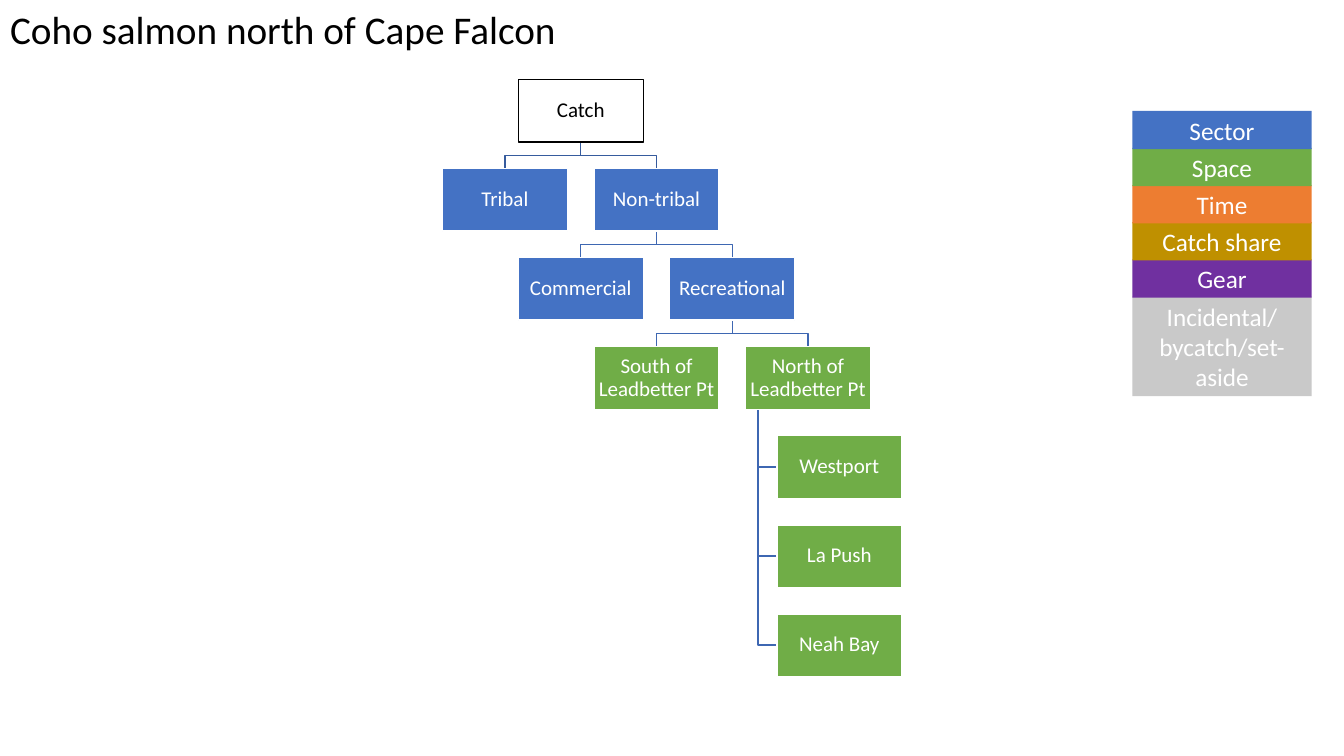
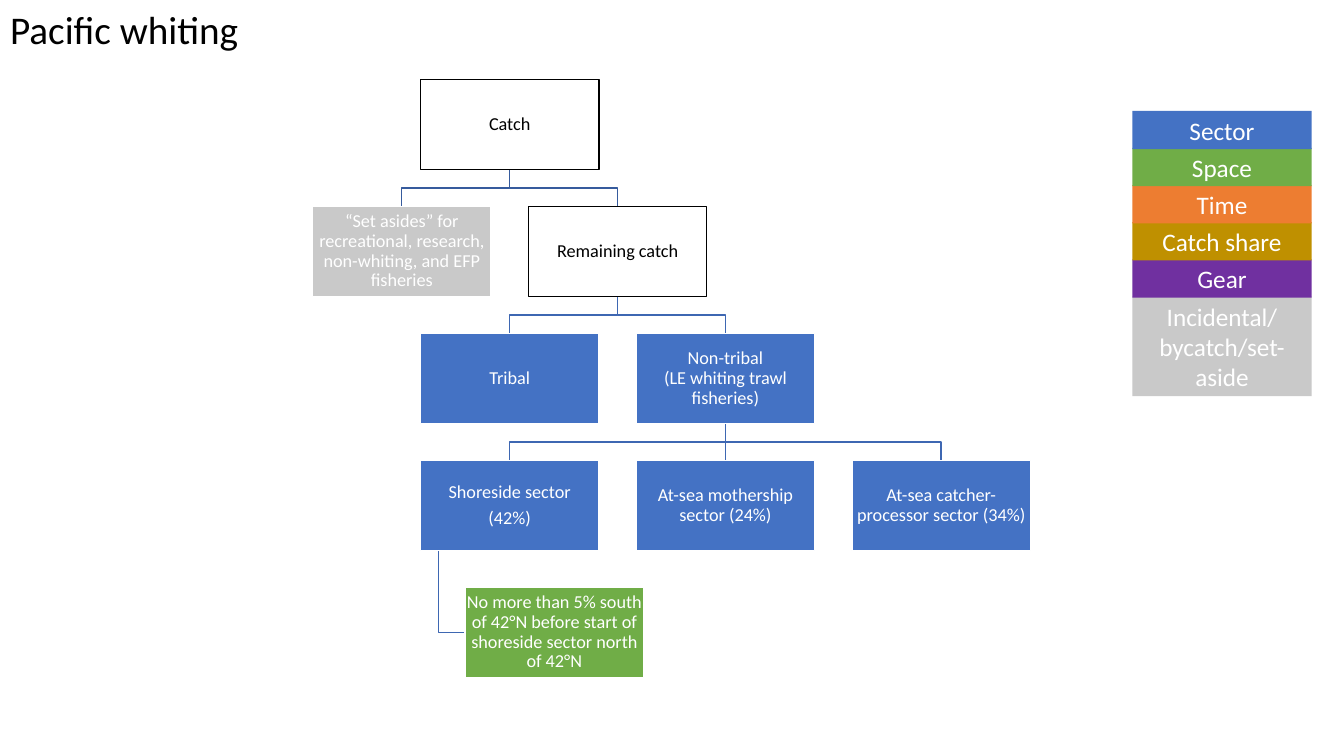
from collections import namedtuple

from pptx import Presentation
from pptx.dml.color import RGBColor
from pptx.enum.shapes import MSO_CONNECTOR as CONN, MSO_SHAPE as SHAPE
from pptx.enum.text import MSO_ANCHOR as ANCHOR, PP_ALIGN as ALIGN
from pptx.oxml import parse_xml
from pptx.oxml.ns import nsdecls
from pptx.util import Inches, Pt

# Shared style
FONT = "Calibri"
WHITE = RGBColor(0xFF, 0xFF, 0xFF)
BLACK = RGBColor(0x00, 0x00, 0x00)
BLUE = RGBColor(0x44, 0x72, 0xC4)
GREEN = RGBColor(0x70, 0xAD, 0x47)
ORANGE = RGBColor(0xED, 0x7D, 0x31)
GOLD = RGBColor(0xBF, 0x90, 0x00)
PURPLE = RGBColor(0x70, 0x30, 0xA0)
GRAY = RGBColor(0xC9, 0xC9, 0xC9)
ROOT_LINE = RGBColor(0x36, 0x5B, 0x9D)
BRANCH_LINE = RGBColor(0x3E, 0x67, 0xB2)

# Content: "\n" starts a paragraph, "\v" breaks a line
Node = namedtuple("Node", "text fill children hanging", defaults=((), False))

LEGEND = [
    ("Sector", BLUE),
    ("Space", GREEN),
    ("Time", ORANGE),
    ("Catch share", GOLD),
    ("Gear", PURPLE),
    ("Incidental/\nbycatch/set-aside", GRAY),
]

COHO = Node("Catch", WHITE, [
    Node("Tribal", BLUE),
    Node("Non-tribal", BLUE, [
        Node("Commercial", BLUE),
        Node("Recreational", BLUE, [
            Node("South of Leadbetter Pt", GREEN),
            Node("North of Leadbetter Pt", GREEN, [
                Node("Westport", GREEN),
                Node("La Push", GREEN),
                Node("Neah Bay", GREEN),
            ], hanging=True),
        ]),
    ]),
])

WHITING = Node("Catch", WHITE, [
    Node("“Set asides” for recreational, research, non-whiting, and EFP fisheries", GRAY),
    Node("Remaining catch", WHITE, [
        Node("Tribal", BLUE),
        Node("Non-tribal\v(LE whiting trawl fisheries)", BLUE, [
            Node("Shoreside sector\n(42%)", BLUE, [
                Node("No more than 5% south of 42°N before start of "
                     "shoreside sector north of 42°N", GREEN),
            ], hanging=True),
            Node("At-sea mothership sector (24%)", BLUE),
            Node("At-sea catcher-processor sector (34%)", BLUE),
        ]),
    ]),
])

# Chart sizes in inches, text size in points
TOP, LAST_TOP = 0.79, 6.09
SLIDES = [
    dict(title="Coho salmon north of Cape Falcon", title_w=5.67, tree=COHO,
         left=5.14, w=1.24, h=0.62, last_top=6.09, rows=7, size=15),
    dict(title="Pacific whiting", title_w=2.49, tree=WHITING,
         left=4.17, w=1.77, h=0.89, last_top=5.83, rows=5, size=13),
]


def write(tf, text, size, color, align=ALIGN.CENTER, spacing=None, gap=0):
    for i, para in enumerate(text.split("\n")):
        p = tf.paragraphs[0] if i == 0 else tf.add_paragraph()
        p.alignment = align
        p.line_spacing = spacing
        p.space_before = Pt(gap if i else 0)
        for j, line in enumerate(para.split("\v")):
            if j:
                p.add_line_break()
            r = p.add_run()
            r.text = line
            r.font.name, r.font.size = FONT, Pt(size)
            r.font.color.rgb = color


def add_box(s, x, y, w, h, fill, line=None):
    sp = s.shapes.add_shape(SHAPE.RECTANGLE, Inches(x), Inches(y), Inches(w), Inches(h))
    sp.shadow.inherit = False
    sp.fill.solid()
    sp.fill.fore_color.rgb = fill
    if line is None:
        sp.line.fill.background()
    else:
        sp.line.color.rgb = line
        sp.line.width = Pt(1)
    tf = sp.text_frame
    tf.word_wrap = True
    tf.vertical_anchor = ANCHOR.MIDDLE
    return tf


def add_branch(s, points, color):
    pts = [(Inches(x), Inches(y)) for x, y in points]
    if len(pts) == 2:
        sp = s.shapes.add_connector(CONN.STRAIGHT, *pts[0], *pts[1])
        sp._element.spPr.append(parse_xml(f"<a:effectLst {nsdecls('a')}/>"))
    else:
        builder = s.shapes.build_freeform(*pts[0])
        builder.add_line_segments(pts[1:], close=False)
        sp = builder.convert_to_shape()
        sp.fill.background()
        sp.shadow.inherit = False
    sp.line.color.rgb = color
    sp.line.width = Pt(1)


def lay_out(node, x, y, w, h, step, boxes, branches):
    """Place a node, then its children below it; collect boxes and branches."""
    color = BRANCH_LINE if boxes else ROOT_LINE
    boxes.append((node, x, y))
    gap = step - h
    bottom, center = y + h, x + w / 2
    for i, child in enumerate(node.children):
        if node.hanging:
            cx, cy = x + w / 4, y + (i + 1) * step
            trunk, middle = x + w / 10, cy + h / 2
            points = [(trunk, bottom), (trunk, middle), (cx, middle)]
        else:
            offset = (i - (len(node.children) - 1) / 2) * (w + gap)
            cx, cy = x + offset, y + step
            points = [(center, bottom), (center + offset, cy)]
            if offset:
                bend = bottom + gap / 2
                points[1:1] = [(center, bend), (center + offset, bend)]
        branches.append((points, color))
        lay_out(child, cx, cy, w, h, step, boxes, branches)


def add_tree(s, tree, left, w, h, last_top, rows, size):
    boxes, branches = [], []
    step = (last_top - TOP) / (rows - 1)
    lay_out(tree, left, TOP, w, h, step, boxes, branches)
    for points, color in branches:
        add_branch(s, points, color)
    for node, x, y in boxes:
        ink = BLACK if node.fill == WHITE else WHITE
        tf = add_box(s, x, y, w, h, node.fill, ink)
        tf.margin_left = tf.margin_right = tf.margin_top = tf.margin_bottom = Inches(0.01)
        write(tf, node.text, size, ink, spacing=0.9, gap=4)


def add_title(s, text, width):
    title = s.shapes.title
    title.left, title.top = Inches(0), Inches(0)
    title.width, title.height = Inches(width), Inches(0.57)
    tf = title.text_frame
    tf.word_wrap = False
    tf.vertical_anchor = ANCHOR.TOP
    write(tf, text, 28, BLACK, ALIGN.LEFT)


def add_legend(s):
    # Upper bars overlap the lower ones slightly
    step = (2.94 - 1.1) / (len(LEGEND) - 1)
    for i, (label, fill) in reversed(list(enumerate(LEGEND))):
        height = 0.99 if "\n" in label else 0.38
        write(add_box(s, 11.23, 1.1 + i * step, 1.78, height, fill), label, 18, WHITE)


def main():
    prs = Presentation()
    prs.slide_width, prs.slide_height = Inches(13.33), Inches(7.5)
    for content in SLIDES:
        tree = dict(content)
        s = prs.slides.add_slide(prs.slide_layouts[5])
        add_title(s, tree.pop("title"), tree.pop("title_w"))
        add_tree(s, **tree)
        add_legend(s)
    prs.save("out.pptx")


if __name__ == "__main__":
    main()
